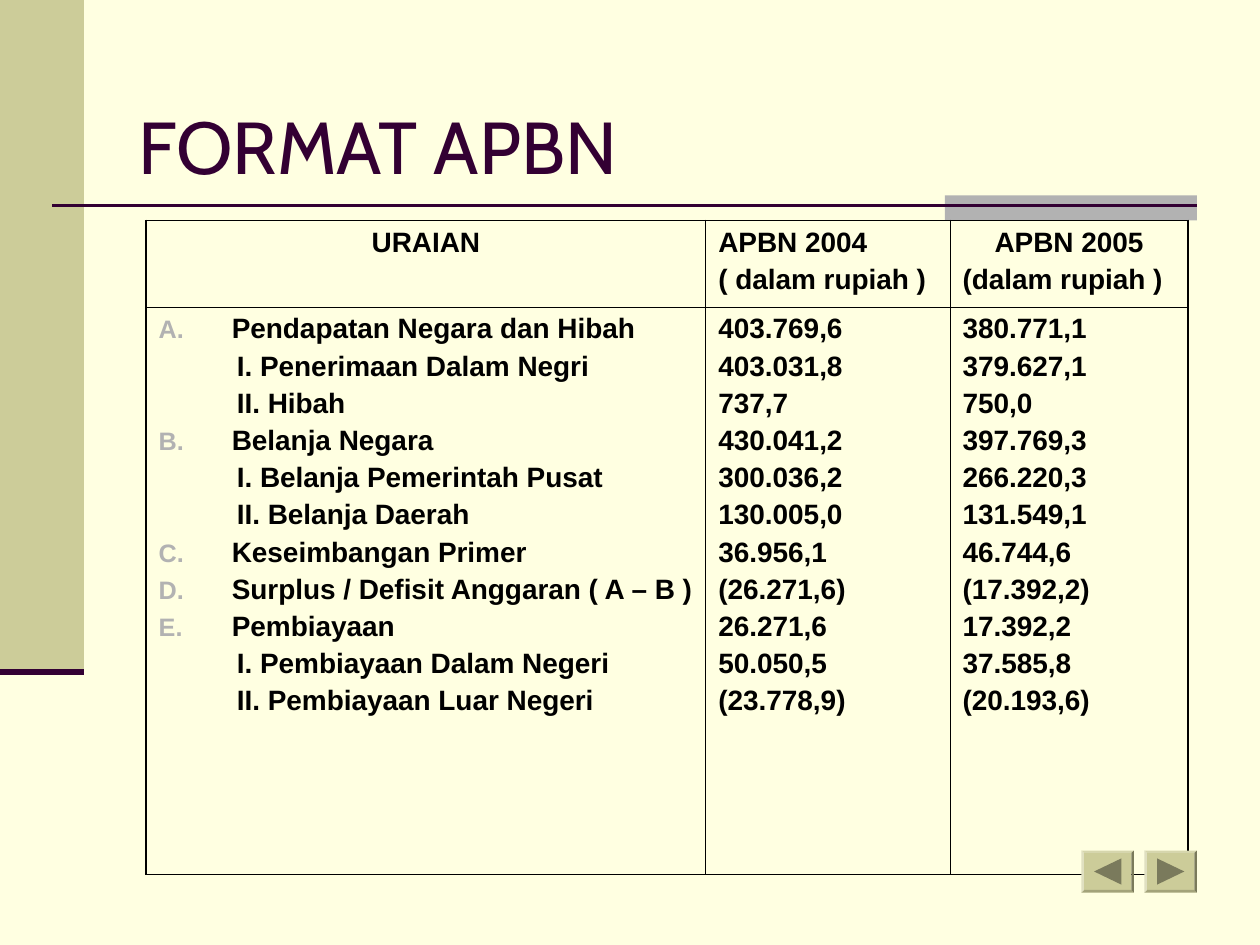
from dataclasses import dataclass

from lxml import etree
from pptx import Presentation
from pptx.dml.color import RGBColor
from pptx.enum.shapes import MSO_CONNECTOR, MSO_SHAPE
from pptx.enum.text import MSO_ANCHOR, MSO_AUTO_SIZE, PP_ALIGN
from pptx.oxml.ns import qn
from pptx.util import Inches, Length, Pt

RECTANGLE, BEVEL = MSO_SHAPE.RECTANGLE, MSO_SHAPE.BEVEL
STRAIGHT = MSO_CONNECTOR.STRAIGHT
LEFT, CENTER = PP_ALIGN.LEFT, PP_ALIGN.CENTER
BOTTOM, NO_FIT = MSO_ANCHOR.BOTTOM, MSO_AUTO_SIZE.NONE

CREAM, KHAKI, OLIVE = "FFFFE1", "CCCC99", "7A7A5C"
PLUM, GREY, BLACK = "330033", "B2B2B2", "000000"
COLUMNS, ROWS = 120, 90
THIN, THICK = 0.45, 1.08


@dataclass(frozen=True)
class Area:
    """A rectangle in columns and rows of the slide grid."""
    left: float
    top: float
    width: float
    height: float


@dataclass(frozen=True)
class Entry:
    """A budget line, numbered by letter when it has a start."""
    label: str
    year_2004: str
    year_2005: str
    start: int = 0


@dataclass(frozen=True)
class Button:
    """A navigation button with the corners of its arrow."""
    area: Area
    arrow: tuple[tuple[float, float], ...]


ENTRIES = (
    Entry("Pendapatan Negara dan Hibah", "403.769,6", "380.771,1", 1),
    Entry("I. Penerimaan Dalam Negri", "403.031,8", "379.627,1"),
    Entry("II. Hibah", "737,7", "750,0"),
    Entry("Belanja Negara", "430.041,2", "397.769,3", 2),
    Entry("I. Belanja Pemerintah Pusat", "300.036,2", "266.220,3"),
    Entry("II. Belanja Daerah", "130.005,0", "131.549,1"),
    Entry("Keseimbangan Primer", "36.956,1", "46.744,6", 3),
    Entry("Surplus / Defisit Anggaran ( A – B )", "(26.271,6)", "(17.392,2)", 3),
    Entry("Pembiayaan", "26.271,6", "17.392,2", 3),
    Entry("I. Pembiayaan Dalam Negeri", "50.050,5", "37.585,8"),
    Entry("II. Pembiayaan Luar Negeri", "(23.778,9)", "(20.193,6)"),
)
HEADERS = (
    (("URAIAN", CENTER),),
    (("APBN 2004", LEFT), ("( dalam rupiah )", LEFT)),
    (("APBN 2005", CENTER), ("(dalam rupiah )", LEFT)),
)
BUTTONS = (
    Button(Area(109, 81, 5, 4), ((1.2, 0.75), (3.8, 2), (1.2, 3.25))),
    Button(Area(103, 81, 5, 4), ((1.2, 2), (3.8, 0.75), (3.8, 3.25))),
)


def colour(code: str) -> RGBColor:
    """Turn a hex string into a colour."""
    return RGBColor.from_string(code)


def across(columns: float) -> Length:
    """Convert grid columns to a length."""
    return Inches(10 * columns / COLUMNS)


def down(rows: float) -> Length:
    """Convert grid rows to a length."""
    return Inches(7.5 * rows / ROWS)


def place(area: Area) -> tuple[Length, ...]:
    """Convert a grid area to left, top, width and height."""
    return across(area.left), down(area.top), across(area.width), down(area.height)


def paint(shape, fill: str) -> None:
    """Give a shape a flat fill without outline or shadow."""
    shape.shadow.inherit = False
    shape.fill.solid()
    shape.fill.fore_color.rgb = colour(fill)
    shape.line.fill.background()


def add_block(page, kind, area: Area, fill: str):
    """Add a filled preset shape."""
    block = page.shapes.add_shape(kind, *place(area))
    paint(block, fill)
    return block


def add_rule(page, left: float, right: float, row: float, weight: float) -> None:
    """Add a horizontal line."""
    rule = page.shapes.add_connector(STRAIGHT, across(left), down(row), across(right), down(row))
    rule.line.color.rgb = colour(PLUM)
    rule.line.width = Pt(weight)
    etree.SubElement(rule._element.spPr, qn("a:effectLst"))


def add_button(page, button: Button) -> None:
    """Add a bevelled button with its arrow."""
    face = add_block(page, BEVEL, button.area, KHAKI)
    face.adjustments[0] = 0.06
    corners = [(across(button.area.left + x), down(button.area.top + y)) for x, y in button.arrow]
    builder = page.shapes.build_freeform(*corners[0])
    builder.add_line_segments(corners[1:], close=True)
    paint(builder.convert_to_shape(), OLIVE)


def style_font(para, name: str, size: float, code: str, bold: bool) -> None:
    """Set the font of a whole paragraph."""
    para.font.name, para.font.size, para.font.bold = name, Pt(size), bold
    para.font.color.rgb = colour(code)


def indent(para, start: int) -> None:
    """Hang a lettered paragraph, or indent a plain one under it."""
    properties = para._p.get_or_add_pPr()
    properties.set("marL", str(Inches(0.58 if start else 0.62)))
    properties.set("indent", str(Inches(-0.58 if start else 0)))
    if start:
        shade = etree.SubElement(properties, qn("a:buClr"))
        etree.SubElement(shade, qn("a:srgbClr"), val=GREY)
        etree.SubElement(properties, qn("a:buSzPct"), val="90000")
        etree.SubElement(properties, qn("a:buAutoNum"), type="alphaUcPeriod", startAt=str(start))


def write_cell(cell, lines, starts=()) -> None:
    """Write aligned lines into a cell, indenting them when starts are given."""
    frame = cell.text_frame
    for number, (text, alignment) in enumerate(lines):
        para = frame.add_paragraph() if number else frame.paragraphs[0]
        para.text = text
        para.alignment = alignment
        if starts:
            indent(para, starts[number])
        if number:
            para.space_before = Pt(3.5)
        style_font(para, "Arial", 16, BLACK, True)


def frame_cell(cell, row: int, column: int) -> None:
    """Clear the fill and draw thick outer and thin inner borders."""
    cell.fill.background()
    outer = {"lnL": column == 0, "lnR": column == 2, "lnT": row == 0, "lnB": row == 1}
    for position, (side, is_outer) in enumerate(outer.items()):
        weight = Pt(THICK if is_outer else THIN)
        border = etree.Element(qn(f"a:{side}"), w=str(weight))
        fill = etree.SubElement(border, qn("a:solidFill"))
        etree.SubElement(fill, qn("a:srgbClr"), val=BLACK)
        cell._tc.get_or_add_tcPr().insert(position, border)


def add_budget(page) -> None:
    """Add the budget table."""
    table = page.shapes.add_table(2, 3, *place(Area(13.92, 21, 99.24, 62.28))).table
    table.first_row = table.horz_banding = False
    for column, width in zip(table.columns, (53.3, 23.26, 22.68)):
        column.width = across(width)
    for row, height in zip(table.rows, (8.28, 54)):
        row.height = down(height)
    for column, lines in enumerate(HEADERS):
        write_cell(table.cell(0, column), lines)
    labels = table.cell(1, 0)
    labels.margin_right = Inches(0.05)
    write_cell(labels, [(entry.label, LEFT) for entry in ENTRIES], [entry.start for entry in ENTRIES])
    write_cell(table.cell(1, 1), [(entry.year_2004, LEFT) for entry in ENTRIES])
    write_cell(table.cell(1, 2), [(entry.year_2005, LEFT) for entry in ENTRIES])
    for row in range(2):
        for column in range(3):
            frame_cell(table.cell(row, column), row, column)


def add_title(page) -> None:
    """Move and format the title placeholder."""
    title = page.shapes.title
    title.left, title.top, title.width, title.height = place(Area(12, 3.6, 102, 15))
    frame = title.text_frame
    frame.text = "FORMAT APBN"
    frame.vertical_anchor, frame.auto_size = BOTTOM, NO_FIT
    frame.paragraphs[0].alignment = LEFT
    style_font(frame.paragraphs[0], "Cabin", 42, PLUM, False)


def main() -> None:
    """Build and save the slide."""
    deck = Presentation()
    deck.slide_width, deck.slide_height = across(COLUMNS), down(ROWS)
    page = deck.slides.add_slide(deck.slide_layouts[5])
    page.background.fill.solid()
    page.background.fill.fore_color.rgb = colour(CREAM)
    add_block(page, RECTANGLE, Area(0, 0, 8, 64), KHAKI)
    add_block(page, RECTANGLE, Area(90, 18.6, 24, 2.4), GREY)
    add_rule(page, 5, 114, 19.6, 1.5)
    add_rule(page, 0, 8, 64, 3.5)
    add_title(page)
    add_budget(page)
    for button in BUTTONS:
        add_button(page, button)
    deck.save("out.pptx")


if __name__ == "__main__":
    main()
